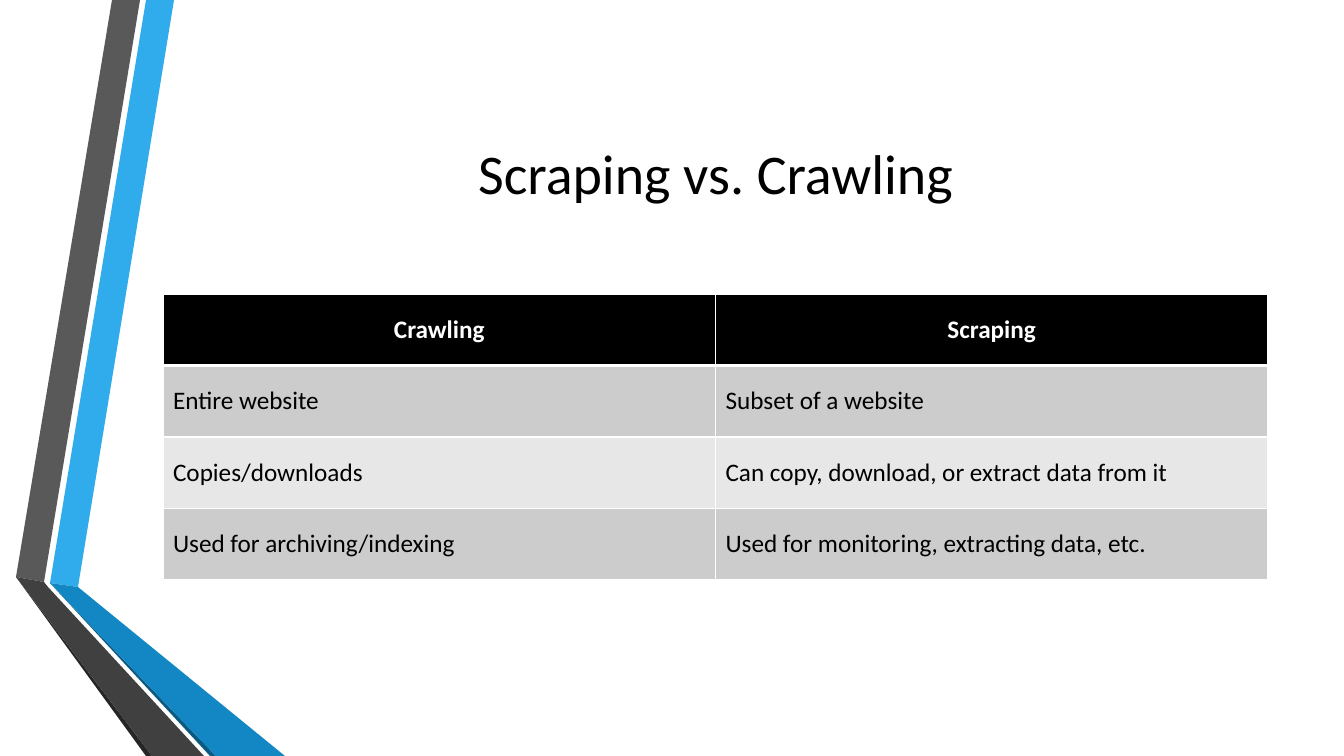
"""Builds a slide that compares crawling and scraping in a table."""
from lxml import etree
from pptx import Presentation
from pptx.dml.color import RGBColor
from pptx.enum.text import MSO_ANCHOR, PP_ALIGN
from pptx.oxml.ns import qn
from pptx.util import Emu, Pt

LEFT, CENTER = PP_ALIGN.LEFT, PP_ALIGN.CENTER
MIDDLE = MSO_ANCHOR.MIDDLE
WIDTH, HEIGHT = 1344, 756
SCALE = 914400 / 100.8
TITLE_ONLY = 5

BLACK = RGBColor(0x00, 0x00, 0x00)
WHITE = RGBColor(0xFF, 0xFF, 0xFF)
SKY = RGBColor(0x30, 0xAC, 0xEC)
BLUE = RGBColor(0x12, 0x87, 0xC3)
NAVY = RGBColor(0x0C, 0x5A, 0x82)
GRAY = RGBColor(0x59, 0x59, 0x59)
DARK = RGBColor(0x40, 0x40, 0x40)
COAL = RGBColor(0x26, 0x26, 0x26)
BANDS = (RGBColor(0xCC, 0xCC, 0xCC), RGBColor(0xE7, 0xE7, 0xE7))

RIBBONS = [
    (SKY, [(50, 583), (78, 587), (174, 0), (146, 0)]),
    (GRAY, [(140, 0), (112, 0), (16, 577), (44, 582)]),
    (COAL, [(16, 577), (146, 756), (152, 756)]),
    (NAVY, [(50, 583), (210, 756), (216, 756)]),
    (BLUE, [(50, 583), (216, 756), (285, 756), (78, 587)]),
    (DARK, [(204, 756), (48, 587), (44, 582), (16, 577), (152, 756)]),
]
ROWS = [
    ("Crawling", "Scraping"),
    ("Entire website", "Subset of a website"),
    ("Copies/downloads", "Can copy, download, or extract data from it"),
    ("Used for archiving/indexing",
     "Used for monitoring, extracting data, etc."),
]


def px(size):
    return Emu(round(size * SCALE))


class Deck:
    def __init__(self, font):
        self.font = font
        self.file = Presentation()
        self.file.slide_width, self.file.slide_height = px(WIDTH), px(HEIGHT)
        layout = self.file.slide_layouts[TITLE_ONLY]
        self.slide = self.file.slides.add_slide(layout)

    def label(self, frame, text, size, color, align, bold=False):
        frame.text = text
        para = frame.paragraphs[0]
        para.alignment = align
        font = para.font
        font.name, font.size, font.bold = self.font, Pt(size), bold
        font.color.rgb = color

    def title(self, text, left, top, width, height):
        shape = self.slide.shapes.title
        shape.left, shape.top = px(left), px(top)
        shape.width, shape.height = px(width), px(height)
        shape.text_frame.vertical_anchor = MIDDLE
        self.label(shape.text_frame, text, 40, BLACK, CENTER)

    def ribbon(self, color, points):
        pen = self.slide.shapes.build_freeform(*points[0], scale=SCALE)
        pen.add_line_segments(points[1:], close=True)
        shape = pen.convert_to_shape()
        shape.shadow.inherit = False
        shape.fill.solid()
        shape.fill.fore_color.rgb = color
        shape.line.fill.background()

    def border(self, cell, widths):
        props = cell._tc.get_or_add_tcPr()
        for spot, (side, width) in enumerate(zip("LRTB", widths)):
            line = etree.Element(qn("a:ln" + side), w=str(int(Pt(width))))
            fill = etree.SubElement(line, qn("a:solidFill"))
            etree.SubElement(fill, qn("a:srgbClr"), val=str(WHITE))
            props.insert(spot, line)

    def table(self, rows, left, top, width, height):
        frame = self.slide.shapes.add_table(
            len(rows), len(rows[0]), px(left), px(top), px(width), px(height))
        for r, row in enumerate(rows):
            head = r == 0
            for c, text in enumerate(row):
                cell = frame.table.cell(r, c)
                cell.vertical_anchor = MIDDLE
                cell.fill.solid()
                cell.fill.fore_color.rgb = BLACK if head else BANDS[(r - 1) % 2]
                self.label(cell.text_frame, text, 18,
                           WHITE if head else BLACK,
                           CENTER if head else LEFT, head)
                self.border(cell, (1, 1, 3 if r == 1 else 1, 3 if head else 1))


deck = Deck("Calibri")
for color, points in RIBBONS:
    deck.ribbon(color, points)
deck.title("Scraping vs. Crawling", 163, 76, 1105, 193)
deck.table(ROWS, 163, 294, 1105, 286)
deck.file.save("out.pptx")
